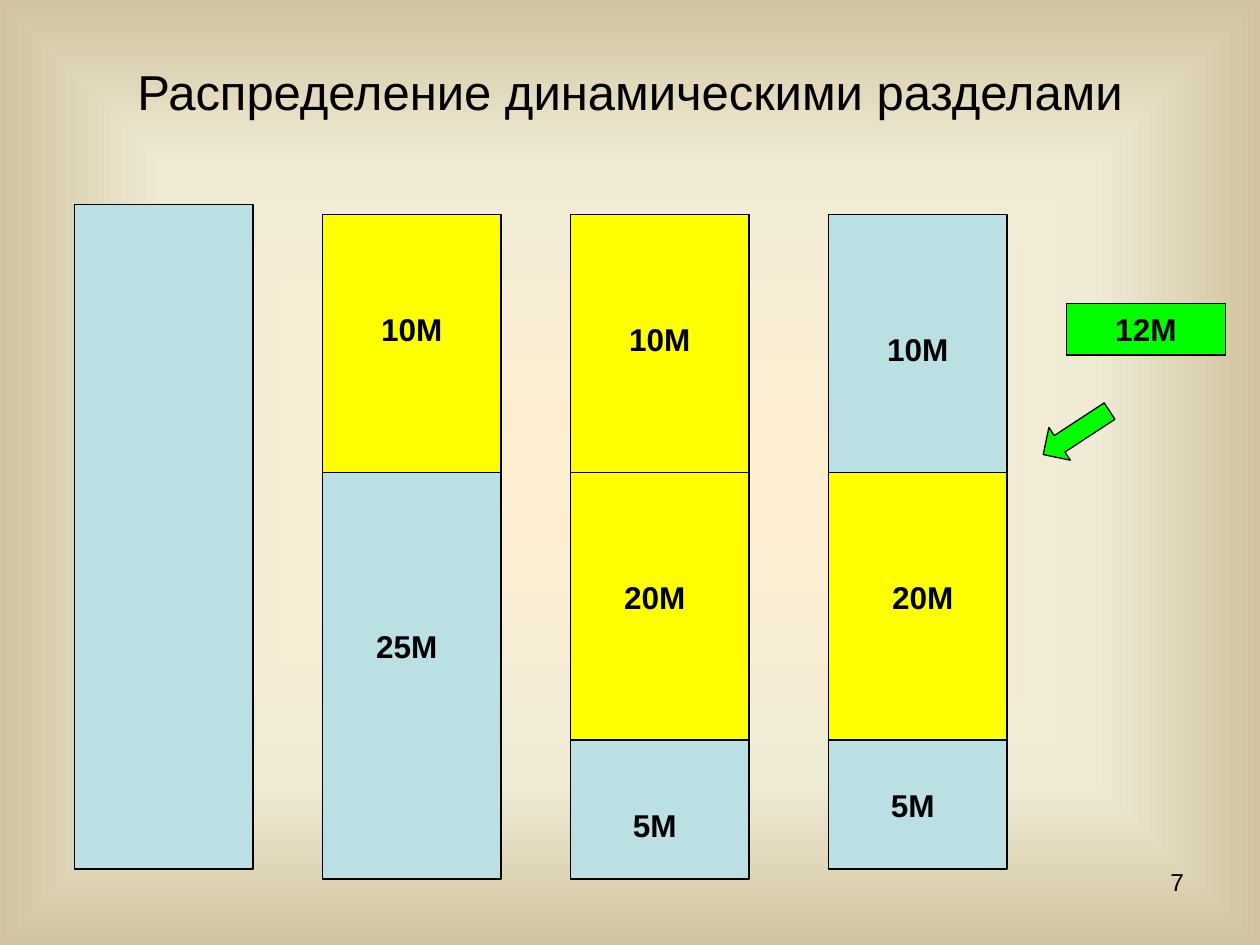
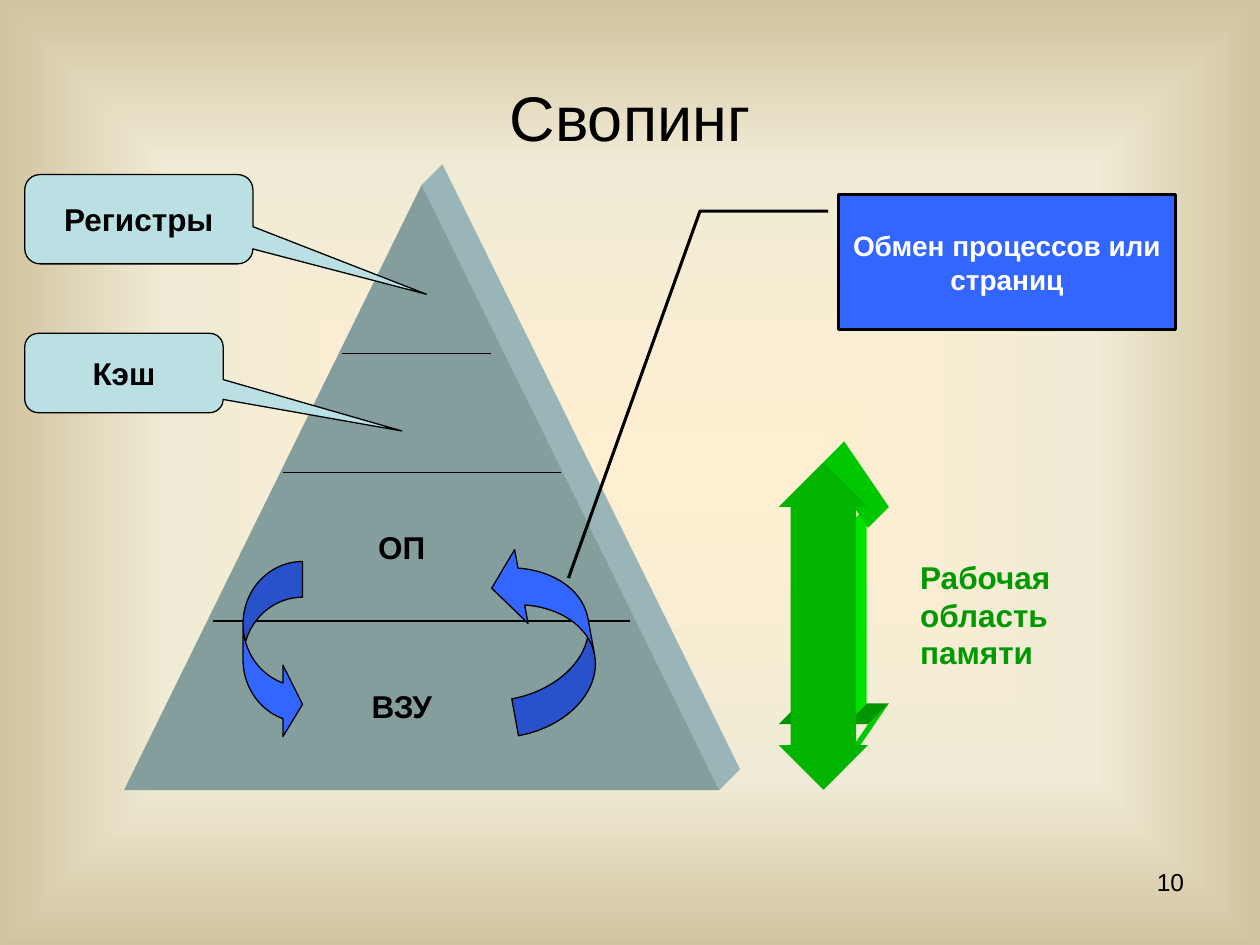
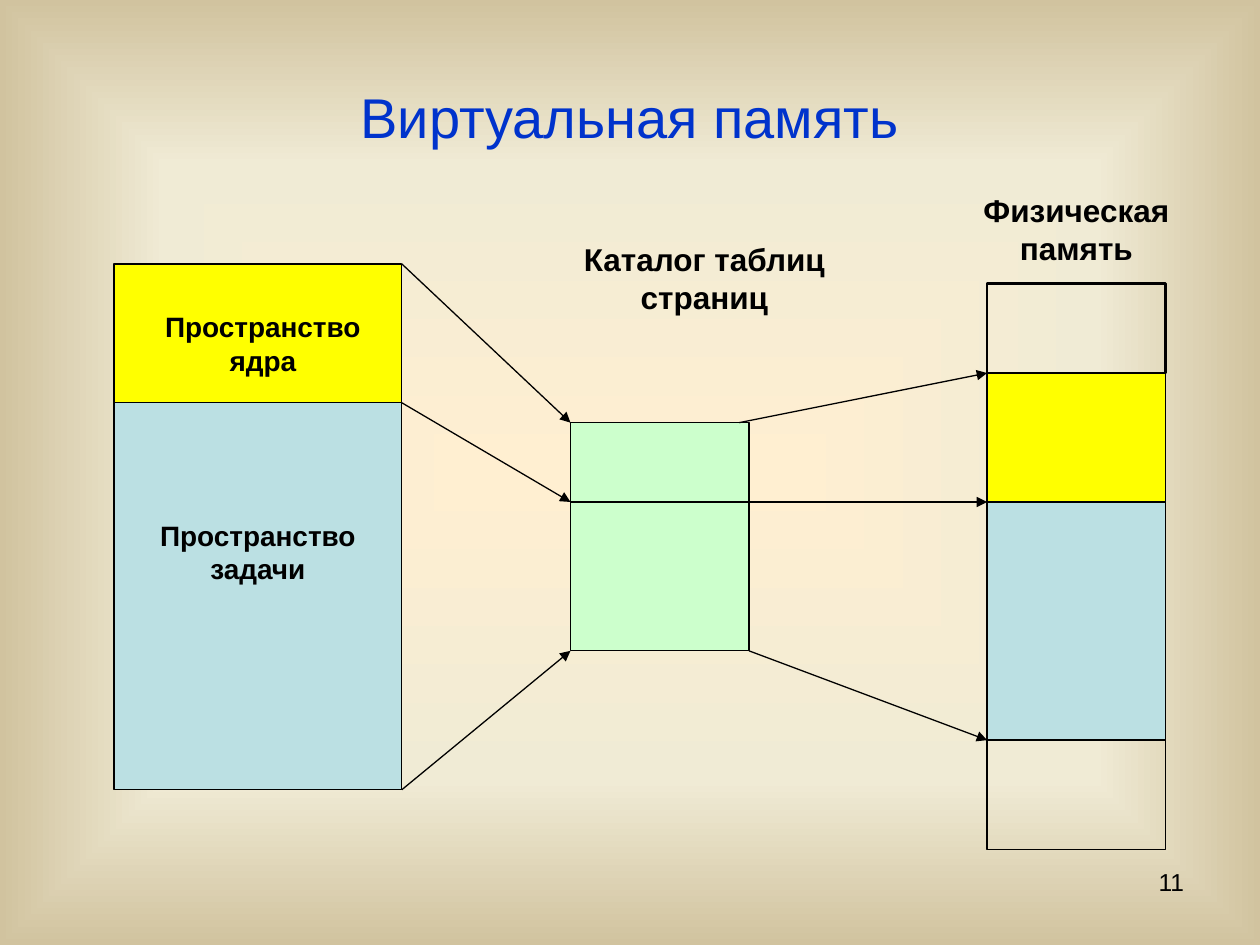
"""Builds three slides on memory allocation, swapping and virtual memory."""
from dataclasses import dataclass

from lxml.etree import SubElement
from pptx import Presentation
from pptx.dml.color import RGBColor
from pptx.enum.shapes import MSO_CONNECTOR, MSO_SHAPE
from pptx.enum.text import MSO_ANCHOR, PP_ALIGN
from pptx.oxml import parse_xml
from pptx.oxml.ns import nsdecls, qn
from pptx.util import Cm, Pt

RECT = MSO_SHAPE.RECTANGLE
PEAK = MSO_SHAPE.ISOSCELES_TRIANGLE
BUBBLE = MSO_SHAPE.ROUNDED_RECTANGULAR_CALLOUT
CALLOUT = MSO_SHAPE.LINE_CALLOUT_2
CURVE = MSO_SHAPE.CURVED_RIGHT_ARROW
DOUBLE = MSO_SHAPE.UP_DOWN_ARROW
BACK = MSO_SHAPE.LEFT_ARROW
STRAIGHT = MSO_CONNECTOR.STRAIGHT
LEFT, MID, RIGHT = PP_ALIGN.LEFT, PP_ALIGN.CENTER, PP_ALIGN.RIGHT
TOP, CENTER = MSO_ANCHOR.TOP, MSO_ANCHOR.MIDDLE


@dataclass(frozen=True)
class Theme:
    font: str = "Arial"
    ink: str = "000000"
    white: str = "FFFFFF"
    pale: str = "BBE0E3"
    yellow: str = "FFFF00"
    lime: str = "00FF00"
    mint: str = "CCFFCC"
    blue: str = "3366FF"
    navy: str = "0033CC"
    leaf: str = "009900"
    stone: str = "849D9D"
    stone_edge: str = "9AB5B8"
    grass: str = "00B400"
    grass_slope: str = "00C800"
    grass_side: str = "00E100"
    grass_dark: str = "009600"
    glow: tuple = ((0, "FFEFD1"), (65, "F0EBD5"), (100, "D1C39F"))
    body: int = 18
    small: int = 16
    foot: int = 14
    thin: float = 0.75
    thick: float = 1.5
    bold: float = 1.75
    depth: float = 0.42


def write(frame, text, size, color, font, bold=True, align=MID, anchor=TOP):
    frame.word_wrap = True
    frame.vertical_anchor = anchor
    para = frame.paragraphs[0]
    para.alignment = align
    run = para.add_run()
    run.text = text
    run.font.name = font
    run.font.size = Pt(size)
    run.font.bold = bold
    run.font.color.rgb = RGBColor.from_string(color)


class Deck:
    def __init__(self, theme):
        self.theme = theme
        self.file = Presentation()
        self.file.slide_width, self.file.slide_height = Cm(25.4), Cm(19.05)
        self.slide = None
        self.paint()

    def paint(self):
        stops = "".join(f'<a:gs pos="{pos * 1000}"><a:srgbClr val="{color}"/></a:gs>'
                        for pos, color in self.theme.glow)
        base = self.file.slide_master.element.cSld
        old = base.find(qn("p:bg"))
        if old is not None:
            base.remove(old)
        base.insert(0, parse_xml(
            f'<p:bg {nsdecls("p", "a")}><p:bgPr><a:gradFill><a:gsLst>{stops}</a:gsLst>'
            '<a:path path="shape"><a:fillToRect l="50000" t="50000" r="50000" b="50000"/>'
            '</a:path></a:gradFill><a:effectLst/></p:bgPr></p:bg>'))

    def page(self, title, number, size, color=None, high=3.18):
        self.slide = self.file.slides.add_slide(self.file.slide_layouts[6])
        self.label(title, 1.27, 0.76, 22.86, high, size=size, color=color,
                   bold=False, anchor=CENTER)
        self.label(str(number), 18.2, 17.35, 5.92, 1.32, size=self.theme.foot,
                   bold=False, align=RIGHT)

    def fill(self, shape, text, size=None, color=None, **form):
        write(shape.text_frame, text, size or self.theme.body,
              color or self.theme.ink, self.theme.font, **form)

    def label(self, text, x, y, wide, high=1.02, **form):
        box = self.slide.shapes.add_textbox(Cm(x), Cm(y), Cm(wide), Cm(high))
        self.fill(box, text, **form)

    def style(self, shape, fill, line):
        shape.shadow.inherit = False
        if fill:
            shape.fill.solid()
            shape.fill.fore_color.rgb = RGBColor.from_string(fill)
        else:
            shape.fill.background()
        if line:
            shape.line.color.rgb = RGBColor.from_string(self.theme.ink)
            shape.line.width = Pt(line)
        else:
            shape.line.fill.background()

    def shape(self, kind, x, y, wide, high, fill=None, line=Theme.thin,
              turn=0, adjust=(), text=None, **form):
        item = self.slide.shapes.add_shape(kind, Cm(x), Cm(y), Cm(wide), Cm(high))
        for spot, value in enumerate(adjust):
            item.adjustments[spot] = value
        item.rotation = turn
        self.style(item, fill, line)
        if text:
            self.fill(item, text, **form)

    def stack(self, x, y, wide, parts):
        for high, fill, line in parts:
            self.shape(RECT, x, y, wide, high, fill, line)
            y += high

    def side(self, start, end, fill):
        (ax, ay), (bx, by) = start, end
        deep = self.theme.depth
        rest = ((bx, by), (bx + deep, by - deep), (ax + deep, ay - deep))
        pen = self.slide.shapes.build_freeform(Cm(ax), Cm(ay))
        pen.add_line_segments([(Cm(x), Cm(y)) for x, y in rest])
        self.style(pen.convert_to_shape(), fill, None)

    def line(self, ax, ay, bx, by, arrow=False):
        wire = self.slide.shapes.add_connector(STRAIGHT, Cm(ax), Cm(ay), Cm(bx), Cm(by))
        wire.line.color.rgb = RGBColor.from_string(self.theme.ink)
        wire.line.width = Pt(self.theme.thin)
        props = wire.element.spPr
        if arrow:
            SubElement(props.find(qn("a:ln")), qn("a:tailEnd"), type="triangle")
        SubElement(props, qn("a:effectLst"))


def parts(deck):
    look = deck.theme
    pale, yellow, thin = look.pale, look.yellow, look.thin
    deck.page("Распределение динамическими разделами", 7, 28, high=2.16)
    bars = (
        (1.5, 4.12, ((13.4, pale),)),
        (6.5, 4.32, ((5.2, yellow), (8.2, pale))),
        (11.5, 4.32, ((5.2, yellow), (5.4, yellow), (2.8, pale))),
        (16.7, 4.32, ((5.2, pale), (5.4, yellow), (2.6, pale))),
    )
    for x, y, cells in bars:
        deck.stack(x, y, 3.6, [(high, fill, thin) for high, fill in cells])
    for text, x, y, wide in (
            ("10М", 6.9, 6.12, 2.8), ("25М", 6.9, 12.52, 2.6),
            ("10М", 11.9, 6.32, 2.8), ("20М", 11.9, 11.52, 2.6),
            ("5М", 11.7, 16.12, 3), ("10М", 17.1, 6.52, 2.8),
            ("20М", 17.3, 11.52, 2.6), ("5М", 16.9, 15.72, 3)):
        deck.label(text, x, y, wide)
    deck.shape(RECT, 21.5, 6.12, 3.2, 1.04, look.lime, text="12М")
    deck.shape(BACK, 20.9, 8.33, 1.6, 0.79, look.lime, turn=326.8)


def swap(deck):
    look = deck.theme
    deck.page("Свопинг", 10, 36)
    deck.side((8.5, 3.73), (14.5, 15.93), look.stone_edge)
    deck.shape(PEAK, 2.5, 3.73, 12, 12.2, look.stone, None)
    for left, right, y in ((6.9, 9.9, 7.12), (5.7, 11.3, 9.52), (4.3, 12.7, 12.52)):
        deck.line(left, y, right, y)
    for text, y, wide, high, adjust in (
            ("Регистры", 3.52, 4.6, 1.8, (1.26, 0.84, 0.17)),
            ("Кэш", 6.72, 4, 1.6, (1.4, 0.73, 0.17))):
        deck.shape(BUBBLE, 0.5, y, wide, high, look.pale, adjust=adjust,
                   text=text, anchor=CENTER)
    deck.label("ОП", 5.7, 10.52, 4.8)
    deck.label("ВЗУ", 5.3, 13.72, 5.6)

    x, y, wide, high, head = 15.7, 9.32, 1.8, 6.6, 1.32
    mid, right, stem = x + wide / 2, x + wide, x + wide * 0.75
    neck, hip = y + head, y + high - head
    for start, end, fill in (
            ((x, hip), (x + wide / 4, hip), look.grass_dark),
            ((stem, hip), (right, hip), look.grass_dark),
            ((right, hip), (mid, y + high), look.grass_slope),
            ((stem, neck), (stem, hip), look.grass_side),
            ((mid, y), (right, neck), look.grass_slope)):
        deck.side(start, end, fill)
    deck.shape(DOUBLE, x, y, wide, high, look.grass, None, adjust=(0.5, head / wide))

    deck.label("Рабочая область памяти", 18.3, 11.12, 3.8, 2.54,
               color=look.leaf, align=LEFT)
    deck.shape(CURVE, 4.9, 11.32, 1.2, 3.6, look.blue, adjust=(0.6, 1.2, 0.33))
    deck.shape(CURVE, 10.1, 10.92, 1.8, 3.78, look.blue, turn=169.7,
               adjust=(0.42, 0.84, 0.33))
    deck.shape(CALLOUT, 16.9, 3.93, 6.8, 2.72, look.blue, look.bold,
               adjust=(0.12, -0.03, 0.12, -0.41, 2.84, -0.8),
               text="Обмен процессов или страниц", size=look.small,
               color=look.white, anchor=CENTER)


def virtual(deck):
    look = deck.theme
    thin = look.thin
    deck.page("Виртуальная память", 11, 32, look.navy)
    deck.stack(2.3, 5.32, 5.8, ((2.8, look.yellow, thin), (7.8, look.pale, thin)))
    deck.label("Пространство ядра", 2.9, 6.12, 4.8, 1.63, size=look.small)
    deck.label("Пространство задачи", 2.7, 10.32, 5, 1.63, size=look.small)
    deck.label("Каталог таблиц страниц", 10.9, 4.72, 6.6, 1.78)
    deck.shape(RECT, 11.5, 8.52, 3.6, 4.6, look.mint)
    deck.line(11.5, 10.12, 15.1, 10.12)
    deck.label("Физическая память", 19.1, 3.73, 5.2, 1.78)
    deck.stack(19.9, 5.72, 3.6, (
        (1.8, None, look.thick), (2.6, look.yellow, thin),
        (4.8, look.pale, thin), (2.2, None, thin)))
    for start, gate, end, exit_x in (
            (5.32, 8.52, 7.52, 14.9), (8.12, 10.12, 10.12, 15.1),
            (15.92, 13.12, 14.92, 15.1)):
        deck.line(8.1, start, 11.5, gate, arrow=True)
        deck.line(exit_x, gate, 19.9, end, arrow=True)


def main():
    deck = Deck(Theme())
    for build in (parts, swap, virtual):
        build(deck)
    deck.file.save("out.pptx")


if __name__ == "__main__":
    main()
